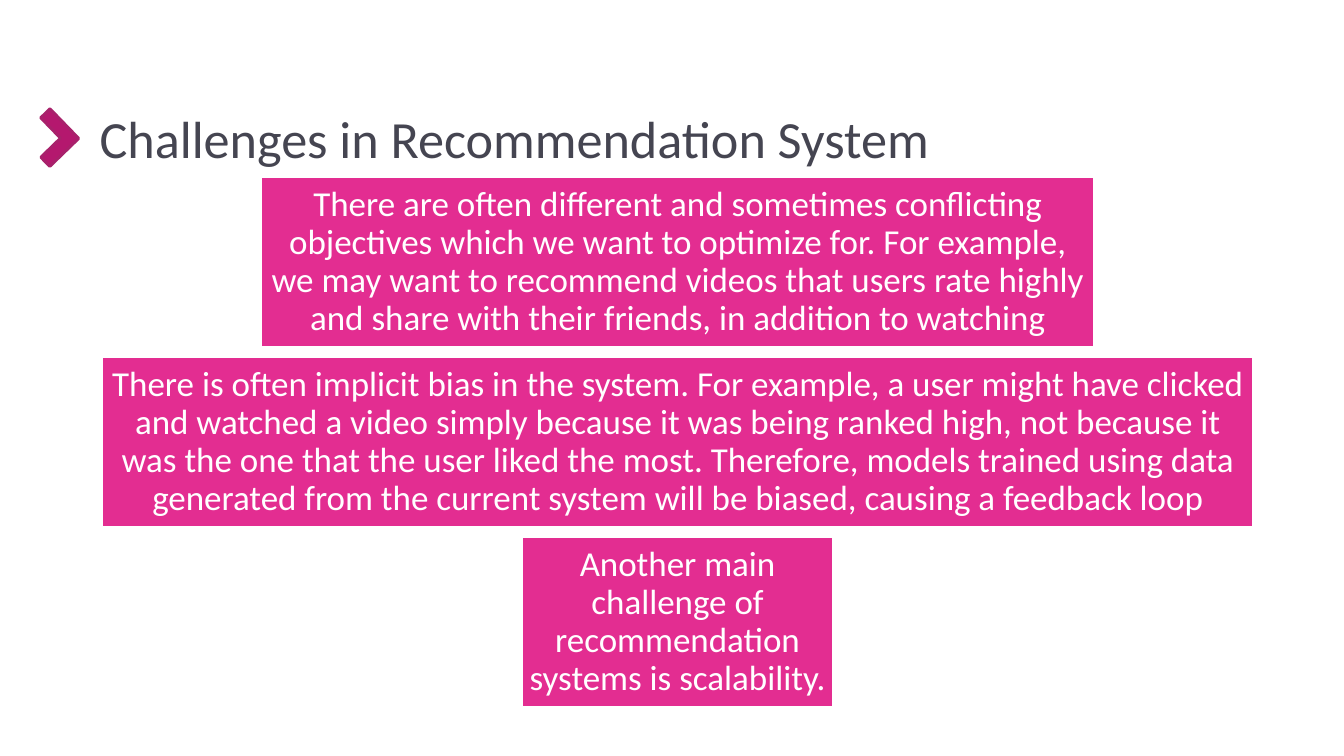
from pptx import Presentation
from pptx.dml.color import RGBColor
from pptx.enum.shapes import MSO_SHAPE as Shape
from pptx.enum.text import MSO_ANCHOR as Anchor, PP_ALIGN as Align
from pptx.util import Pt


def paint(color_format, color):
    color_format.rgb = RGBColor.from_string(color)


def style_text(frame, size, color):
    frame.word_wrap = True
    frame.vertical_anchor = Anchor.MIDDLE
    font = frame.paragraphs[0].runs[0].font
    font.name = "Calibri"
    font.size = Pt(size)
    paint(font.color, color)


CENTER_X = 484
FIRST_TOP = 126
STEP = 128.6
BOX_HEIGHT = 122.4
CHALLENGES = [
    (595.4, "There are often different and sometimes conflicting objectives which "
            "we want to optimize for. For example, we may want to recommend videos "
            "that users rate highly and share with their friends, in addition to watching"),
    (822.2, "There is often implicit bias in the system. For example, a user might have "
            "clicked and watched a video simply because it was being ranked high, not "
            "because it was the one that the user liked the most. Therefore, models "
            "trained using data generated from the current system will be biased, "
            "causing a feedback loop"),
    (223.2, "Another main challenge of recommendation systems is scalability."),
]

prs = Presentation()
prs.slide_width, prs.slide_height = Pt(960), Pt(540)
slide = prs.slides.add_slide(prs.slide_layouts[6])

# Heading with its chevron
chevron = slide.shapes.add_shape(Shape.CORNER, Pt(20.9), Pt(83.9), Pt(29.5), Pt(28.8))
chevron.rotation = 225.9
chevron.adjustments[0] = 0.32
chevron.adjustments[1] = 0.32
chevron.shadow.inherit = False
chevron.fill.solid()
paint(chevron.fill.fore_color, "B4186E")
paint(chevron.line.color, "A8216B")
chevron.line.width = Pt(2)

title = slide.shapes.add_textbox(Pt(64), Pt(70), Pt(840), Pt(56))
title.text_frame.text = "Challenges in Recommendation System"
style_text(title.text_frame, 37.3, "454551")

# Stacked challenges, centred on one axis
for row, (width, challenge) in enumerate(CHALLENGES):
    box = slide.shapes.add_shape(
        Shape.RECTANGLE, Pt(CENTER_X - width / 2), Pt(FIRST_TOP + row * STEP),
        Pt(width), Pt(BOX_HEIGHT))
    box.shadow.inherit = False
    box.fill.solid()
    paint(box.fill.fore_color, "E32D91")
    paint(box.line.color, "FFFFFF")
    box.line.width = Pt(2)
    frame = box.text_frame
    frame.margin_left = frame.margin_right = Pt(5)
    frame.margin_top = frame.margin_bottom = Pt(5)
    frame.text = challenge
    style_text(frame, 25, "FFFFFF")
    frame.paragraphs[0].alignment = Align.CENTER
    frame.paragraphs[0].line_spacing = 0.9

prs.save("out.pptx")
